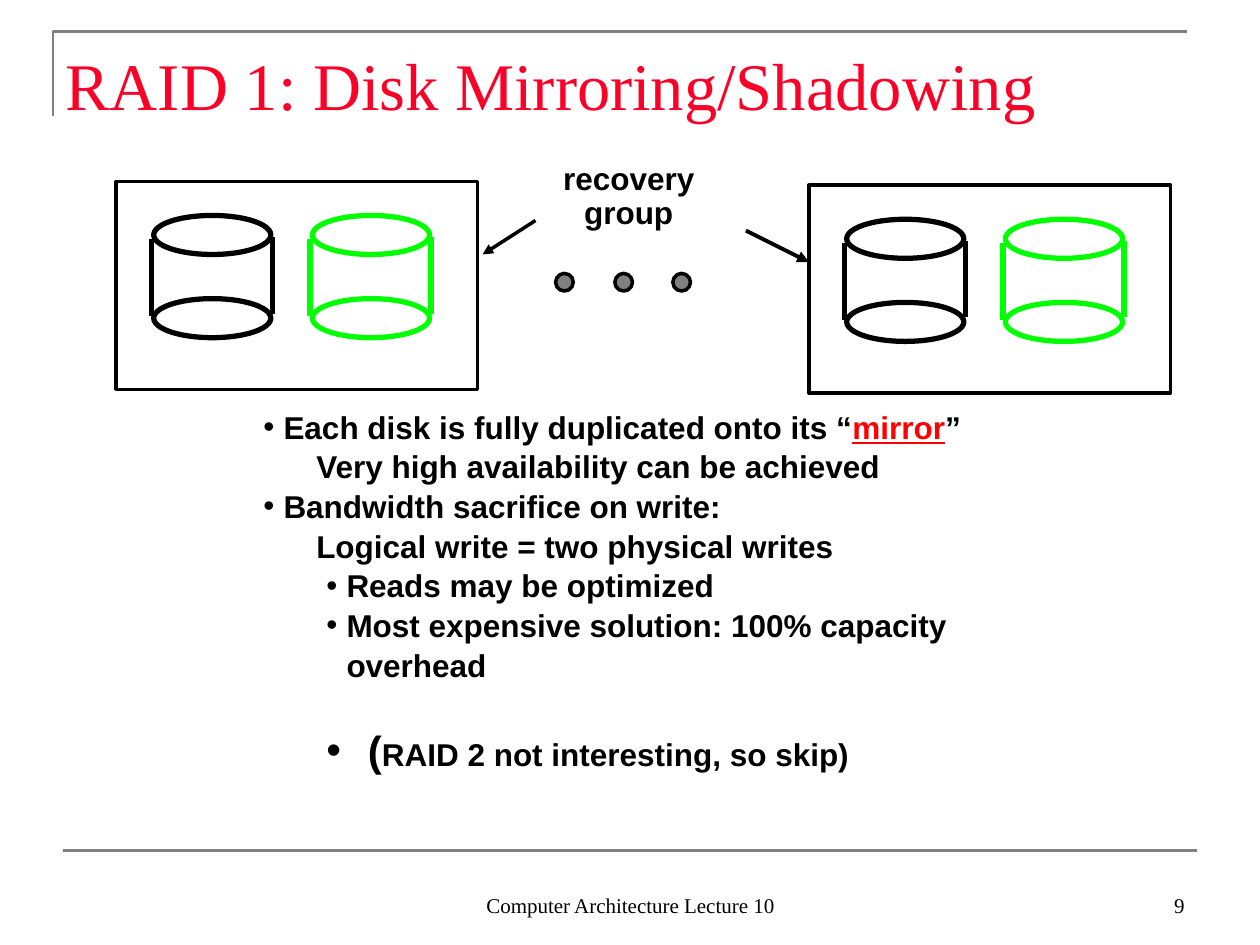
"""Build the lecture slide on RAID 1 disk mirroring."""
import pptx
import pptx.dml.color
import pptx.enum.shapes
import pptx.enum.text
import pptx.util
from lxml import etree
from pptx.oxml.ns import qn

Inches = pptx.util.Inches
Pt = pptx.util.Pt
Align = pptx.enum.text.PP_ALIGN
Anchor = pptx.enum.text.MSO_ANCHOR
Shape = pptx.enum.shapes.MSO_SHAPE

BLACK, GRAY, GREEN, RED = "000000", "808080", "00FF00", "FF0000"


def rgb(value):
    return pptx.dml.color.RGBColor.from_string(value)


class SlideBuilder:
    sans, serif = "Arial", "Times New Roman"

    def __init__(self, deck):
        self.slide = deck.slides.add_slide(deck.slide_layouts[1])
        self.shapes = self.slide.shapes

    def place(self, box, left, top, width, height):
        box.left, box.top = Inches(left), Inches(top)
        box.width, box.height = Inches(width), Inches(height)

    def style(self, span, size, font, color=BLACK, bold=False):
        span.font.size, span.font.name, span.font.bold = Pt(size), font, bold
        span.font.color.rgb = rgb(color)

    def title(self, text):
        box = self.shapes.title
        self.place(box, 0.42, 0.25, 9.57, 0.83)
        frame = box.text_frame
        frame.text = text
        frame.auto_size = pptx.enum.text.MSO_AUTO_SIZE.NONE
        frame.vertical_anchor = Anchor.MIDDLE
        frame.paragraphs[0].alignment = Align.LEFT
        self.style(frame.paragraphs[0].runs[0], 38, self.serif, "FC0128")

    def bullets(self, items):
        box = self.slide.placeholders[1]
        self.place(box, 1.99, 3.17, 6.3, 2.6)
        frame = box.text_frame
        frame.auto_size = pptx.enum.text.MSO_AUTO_SIZE.NONE
        frame.word_wrap = True
        for index, (margin, hang, before, spans) in enumerate(items):
            para = frame.add_paragraph() if index else frame.paragraphs[0]
            self.bullet(para, margin, hang)
            para.space_before, para.line_spacing = Pt(before), 1.05
            for text, size, color in spans:
                span = para.add_run()
                span.text = text
                self.style(span, size, self.sans, color, True)
                span.font.underline = color == RED

    def bullet(self, para, margin, hang):
        props = para._p.get_or_add_pPr()
        props.set("marL", str(Inches(margin)))
        props.set("indent", str(-Inches(hang)))
        if hang:
            etree.SubElement(props, qn("a:buFont")).set("typeface", self.sans)
            etree.SubElement(props, qn("a:buChar")).set("char", "•")
        else:
            etree.SubElement(props, qn("a:buNone"))

    def text(self, text, area, size, font, align, anchor, bold=False, spacing=1.0):
        box = self.shapes.add_textbox(*map(Inches, area))
        frame = box.text_frame
        frame.text = text
        frame.word_wrap, frame.vertical_anchor = True, anchor
        for para in frame.paragraphs:
            para.alignment, para.line_spacing = align, spacing
            self.style(para.runs[0], size, font, bold=bold)

    def shape(self, kind, area, line, width, fill=None):
        shape = self.shapes.add_shape(kind, *map(Inches, area))
        self.finish(shape, line, width, fill)

    def finish(self, shape, line, width, fill=None):
        shape.shadow.inherit = False
        if fill:
            shape.fill.solid()
            shape.fill.fore_color.rgb = rgb(fill)
        else:
            shape.fill.background()
        shape.line.color.rgb, shape.line.width = rgb(line), Pt(width)

    def line(self, start, end, color, width, arrow=False):
        line = self.shapes.add_connector(
            pptx.enum.shapes.MSO_CONNECTOR.STRAIGHT, *map(Inches, start + end))
        line.line.color.rgb, line.line.width = rgb(color), Pt(width)
        if arrow:
            outline = line.line._get_or_add_ln()
            etree.SubElement(outline, qn("a:tailEnd")).set("type", "triangle")
        etree.SubElement(line._element.spPr, qn("a:effectLst"))

    def corner(self, points, color, width):
        start, *rest = [(Inches(x), Inches(y)) for x, y in points]
        builder = self.shapes.build_freeform(*start)
        builder.add_line_segments(rest, close=False)
        self.finish(builder.convert_to_shape(), color, width)

    def disk(self, left, top, color):
        for lid in (top, top + 0.66):
            self.shape(Shape.OVAL, (left, lid, 0.93, 0.31), color, 3, "FFFFFF")
        for x, y in ((left - 0.02, top + 0.19), (left + 0.94, top + 0.17)):
            self.line((x, y), (x, y + 0.61), color, 3)

    def mirror_pair(self, left, top):
        self.disk(left + 0.3, top + 0.27, BLACK)
        self.disk(left + 1.56, top + 0.27, GREEN)
        self.shape(Shape.RECTANGLE, (left, top, 2.87, 1.65), BLACK, 2)


def main():
    deck = pptx.Presentation()
    deck.slide_width, deck.slide_height = Inches(10), Inches(7.5)
    page = SlideBuilder(deck)

    page.corner([(0.42, 0.92), (0.42, 0.25), (9.42, 0.25)], GRAY, 1.5)
    page.line((0.5, 6.75), (9.5, 6.75), GRAY, 1.5)
    page.title("RAID 1: Disk Mirroring/Shadowing")

    page.mirror_pair(6.42, 1.47)
    page.mirror_pair(0.92, 1.44)
    for left in (4.41, 4.88, 5.34):
        page.shape(Shape.OVAL, (left, 2.17, 0.14, 0.14), BLACK, 2, GRAY)
    page.text("recovery\ngroup", (4.37, 1.25, 1.24, 0.61), 18, page.sans,
              Align.CENTER, Anchor.TOP, bold=True, spacing=0.89)
    page.line((4.25, 1.75), (3.83, 2.02), BLACK, 2, arrow=True)
    page.line((5.92, 1.83), (6.42, 2.08), BLACK, 2.25, arrow=True)

    page.bullets([
        (0.16, 0.16, 0, [("Each disk is fully duplicated onto its “", 18, BLACK),
                         ("mirror", 18, RED), ("”", 18, BLACK)]),
        (0.42, 0, 0, [("Very high availability can be achieved", 18, BLACK)]),
        (0.16, 0.16, 0, [("Bandwidth sacrifice on write:", 18, BLACK)]),
        (0.42, 0, 0, [("Logical write = two physical writes", 18, BLACK)]),
        (0.66, 0.16, 0, [("Reads may be optimized", 18, BLACK)]),
        (0.66, 0.16, 0, [("Most expensive solution: 100% capacity overhead", 18, BLACK)]),
        (0.83, 0.33, 22, [("(", 24, BLACK),
                          ("RAID 2 not interesting, so skip)", 18, BLACK)]),
    ])

    page.text("9", (7.17, 6.83, 2.33, 0.5), 12, page.serif, Align.RIGHT, Anchor.BOTTOM)
    page.text("Computer Architecture Lecture 10", (3.42, 6.83, 3.17, 0.5), 12,
              page.serif, Align.CENTER, Anchor.BOTTOM)
    deck.save("out.pptx")


if __name__ == "__main__":
    main()
